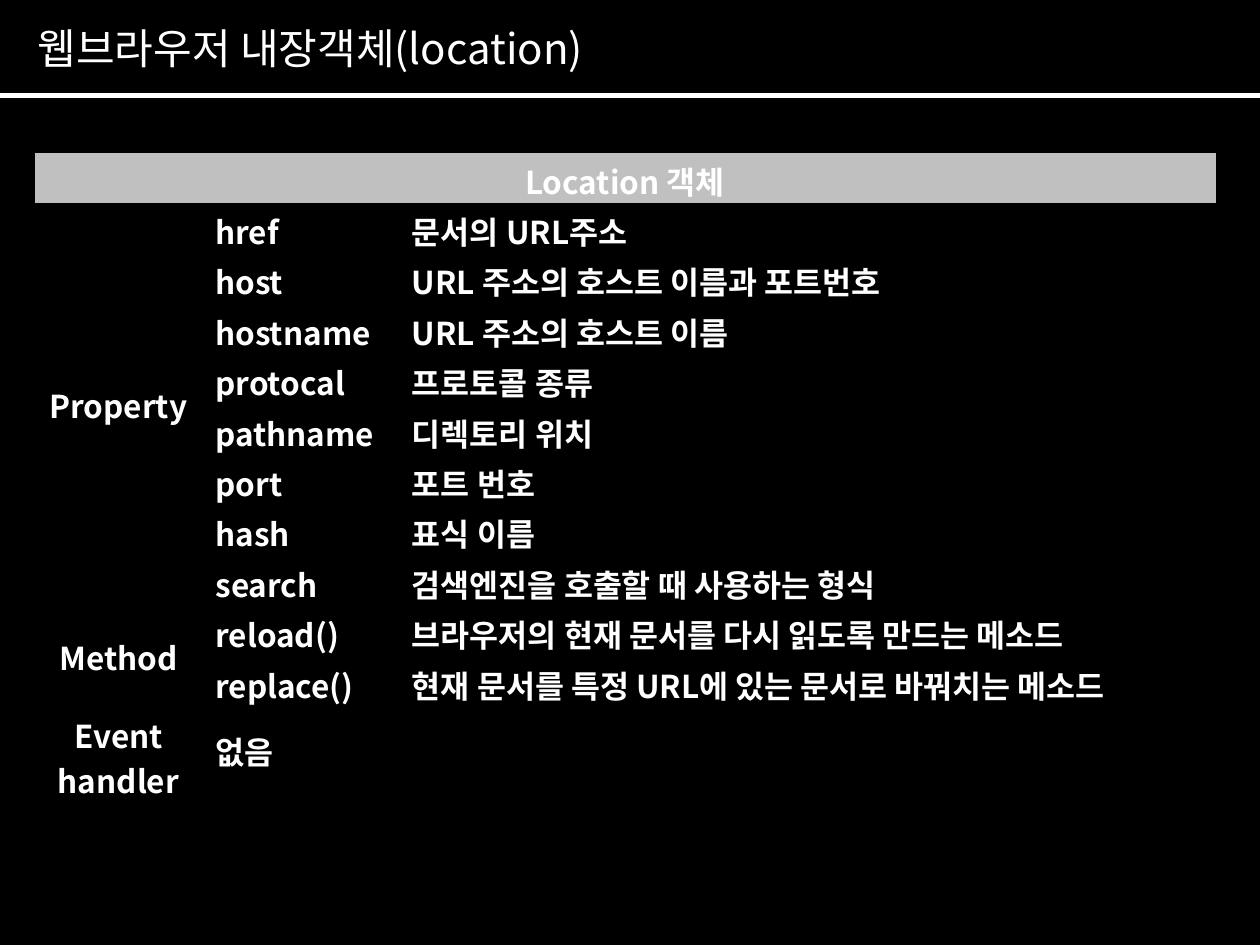
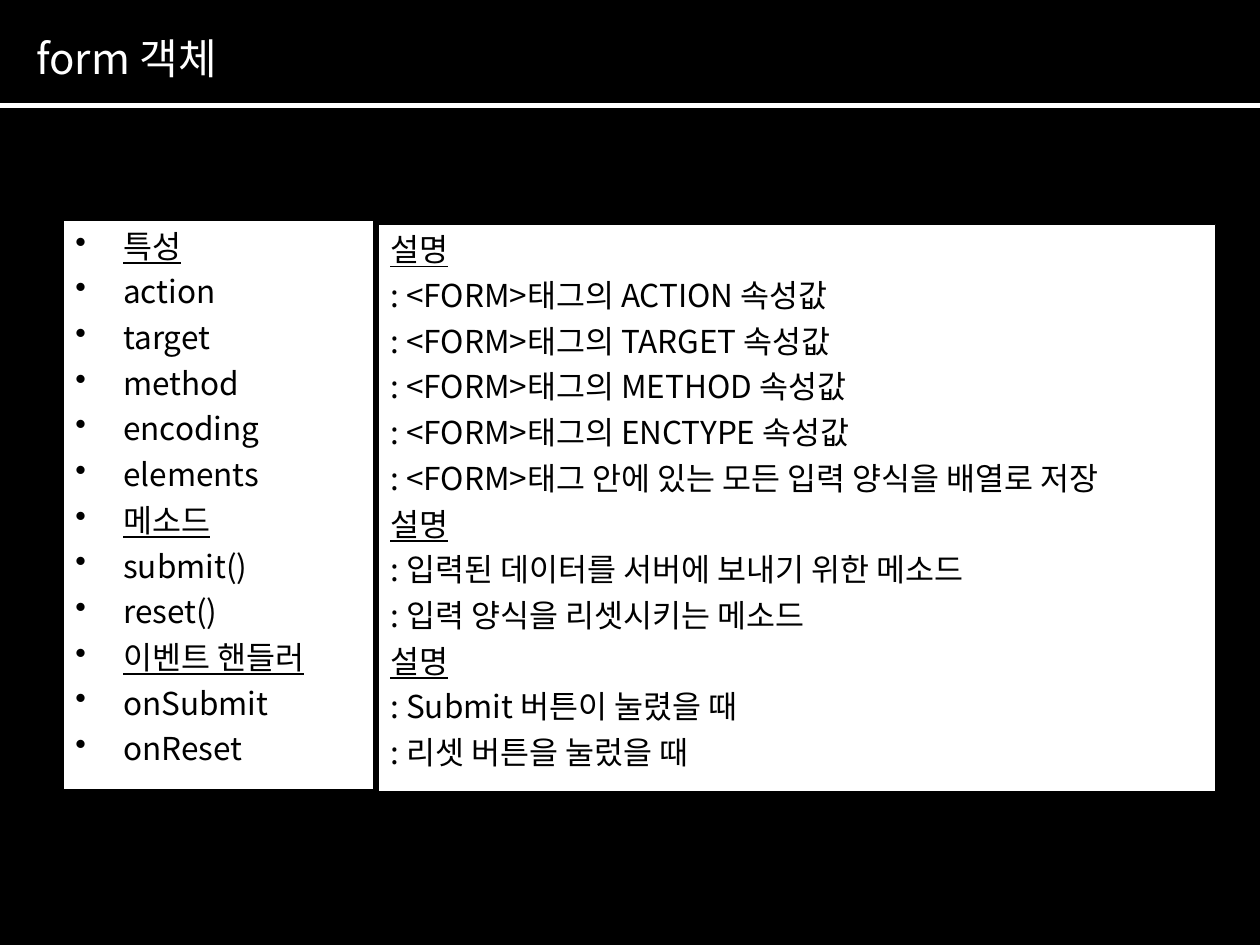
from dataclasses import dataclass

from lxml import etree
from pptx import Presentation
from pptx import util as u
from pptx.dml.color import RGBColor
from pptx.enum import shapes, text
from pptx.oxml.ns import qn
from pptx.util import Inches

BLACK = RGBColor(0x00, 0x00, 0x00)
WHITE = RGBColor(0xFF, 0xFF, 0xFF)
SILVER = RGBColor(0xC0, 0xC0, 0xC0)
FONT = "Noto Sans CJK KR"
BODY_SIZE = 18
HANGING = Inches(0.38)


@dataclass(frozen=True)
class Header:
    title: str
    left: float
    top: float
    rule_y: float


@dataclass(frozen=True)
class Panel:
    left: float
    top: float
    width: float
    height: float
    lines: list[str]
    headings: set[str]
    bulleted: bool = False


@dataclass(frozen=True)
class Group:
    label: str
    members: list[tuple[str, str]]


LOCATION_GROUPS = [
    Group("Property", [
        ("href", "문서의 URL주소"),
        ("host", "URL 주소의 호스트 이름과 포트번호"),
        ("hostname", "URL 주소의 호스트 이름"),
        ("protocal", "프로토콜 종류"),
        ("pathname", "디렉토리 위치"),
        ("port", "포트 번호"),
        ("hash", "표식 이름"),
        ("search", "검색엔진을 호출할 때 사용하는 형식"),
    ]),
    Group("Method", [
        ("reload()", "브라우저의 현재 문서를 다시 읽도록 만드는 메소드"),
        ("replace()", "현재 문서를 특정 URL에 있는 문서로 바꿔치는 메소드"),
    ]),
    Group("Event handler", [("없음", "")]),
]

FORM_PANELS = [
    Panel(0.5, 1.75, 2.47, 4.52, [
        "특성", "action", "target", "method", "encoding", "elements",
        "메소드", "submit()", "reset()",
        "이벤트 핸들러", "onSubmit", "onReset",
    ], {"특성", "메소드", "이벤트 핸들러"}, bulleted=True),
    Panel(3, 1.78, 6.65, 4.5, [
        "설명",
        *(f": <FORM>태그의 {name} 속성값"
          for name in ("ACTION", "TARGET", "METHOD", "ENCTYPE")),
        ": <FORM>태그 안에 있는 모든 입력 양식을 배열로 저장",
        "설명",
        ": 입력된 데이터를 서버에 보내기 위한 메소드",
        ": 입력 양식을 리셋시키는 메소드",
        "설명",
        ": Submit 버튼이 눌렸을 때",
        ": 리셋 버튼을 눌렀을 때",
    ], {"설명"}),
]


def style(paragraph, size: float, color: RGBColor, bold: bool = False) -> None:
    font = paragraph.font
    font.name, font.size, font.bold = FONT, u.Pt(size), bold
    font.color.rgb = color


def add_page(deck, header: Header):
    """Black slide with a title over a white rule."""
    slide = deck.slides.add_slide(deck.slide_layouts[6])
    slide.background.fill.solid()
    slide.background.fill.fore_color.rgb = BLACK

    rule = slide.shapes.add_connector(
        shapes.MSO_CONNECTOR.STRAIGHT, 0, Inches(header.rule_y),
        deck.slide_width, Inches(header.rule_y))
    rule.line.color.rgb = WHITE
    rule.line.width = u.Pt(3)
    etree.SubElement(rule._element.spPr, qn("a:effectLst"))

    title = slide.shapes.add_textbox(
        Inches(header.left), Inches(header.top), Inches(7.64), Inches(0.5))
    title.text_frame.word_wrap = True
    paragraph = title.text_frame.paragraphs[0]
    paragraph.text = header.title
    style(paragraph, 24, WHITE)
    return slide


def set_borders(cell) -> None:
    properties = cell._tc.get_or_add_tcPr()
    for position, side in enumerate(("lnL", "lnR", "lnT", "lnB")):
        edge = etree.Element(qn(f"a:{side}"), w=str(u.Pt(0.34)))
        fill = etree.SubElement(edge, qn("a:solidFill"))
        etree.SubElement(fill, qn("a:srgbClr"), val=str(BLACK))
        properties.insert(position, edge)


def fill_cell(cell, words: str, centred: bool = False,
              margin_top: float = 0.04) -> None:
    cell.vertical_anchor = text.MSO_ANCHOR.MIDDLE
    # Slim margins keep one line within the row height
    cell.margin_top, cell.margin_bottom = Inches(margin_top), 0
    paragraph = cell.text_frame.paragraphs[0]
    paragraph.text = words
    if centred:
        paragraph.alignment = text.PP_ALIGN.CENTER
    style(paragraph, BODY_SIZE, WHITE, bold=True)


def add_reference_table(slide, heading: str, groups: list[Group]) -> None:
    row_count = 1 + sum(len(group.members) for group in groups)
    table = slide.shapes.add_table(
        row_count, 3, Inches(0.27), Inches(1.21),
        Inches(9.38), Inches(5.1)).table
    for column, width in zip(table.columns, (1.34, 1.56, 6.48)):
        column.width = Inches(width)
    for row in table.rows:
        row.height = Inches(0.4)
    table.rows[row_count - 1].height = Inches(0.7)

    for cell in table.iter_cells():
        cell.fill.solid()
        cell.fill.fore_color.rgb = BLACK
        set_borders(cell)

    # Heading across all columns
    heading_cell = table.cell(0, 0)
    heading_cell.merge(table.cell(0, 2))
    heading_cell.fill.fore_color.rgb = SILVER
    fill_cell(heading_cell, heading, centred=True)

    # Each group: a label merged down beside its members
    first = 1
    for group in groups:
        last = first + len(group.members) - 1
        label_cell = table.cell(first, 0)
        spans_rows = last > first
        if spans_rows:
            label_cell.merge(table.cell(last, 0))
        fill_cell(label_cell, group.label, centred=True,
                  margin_top=0 if spans_rows else 0.04)
        for row, member in enumerate(group.members, first):
            for column, words in enumerate(member, 1):
                fill_cell(table.cell(row, column), words,
                          margin_top=0.04 if spans_rows else 0)
        first = last + 1


def add_panel(slide, panel: Panel) -> None:
    box = slide.shapes.add_shape(
        shapes.MSO_SHAPE.RECTANGLE, Inches(panel.left), Inches(panel.top),
        Inches(panel.width), Inches(panel.height))
    box.shadow.inherit = False
    box.fill.solid()
    box.fill.fore_color.rgb = WHITE
    box.line.color.rgb = BLACK
    box.line.width = u.Pt(0.75)

    frame = box.text_frame
    frame.word_wrap = True
    frame.vertical_anchor = text.MSO_ANCHOR.TOP
    for index, line in enumerate(panel.lines):
        paragraph = frame.add_paragraph() if index else frame.paragraphs[0]
        paragraph.text = line
        paragraph.alignment = text.PP_ALIGN.LEFT
        if index:
            paragraph.space_before = u.Pt(4.5)
        properties = paragraph._p.get_or_add_pPr()
        properties.set("marL", str(HANGING))
        properties.set("indent", str(-HANGING))
        if panel.bulleted:
            etree.SubElement(properties, qn("a:buChar"), char="•")
        style(paragraph, BODY_SIZE, BLACK)
        paragraph.font.underline = line in panel.headings


def main() -> None:
    deck = Presentation()
    deck.slide_width, deck.slide_height = Inches(10), Inches(7.5)

    # Location object
    location = add_page(
        deck, Header("웹브라우저 내장객체(location)", 0.2, 0.13, 0.76))
    add_reference_table(location, "Location 객체", LOCATION_GROUPS)

    # Form object
    form = add_page(deck, Header("form 객체", 0.19, 0.21, 0.84))
    for panel in FORM_PANELS:
        add_panel(form, panel)

    deck.save("out.pptx")


if __name__ == "__main__":
    main()
